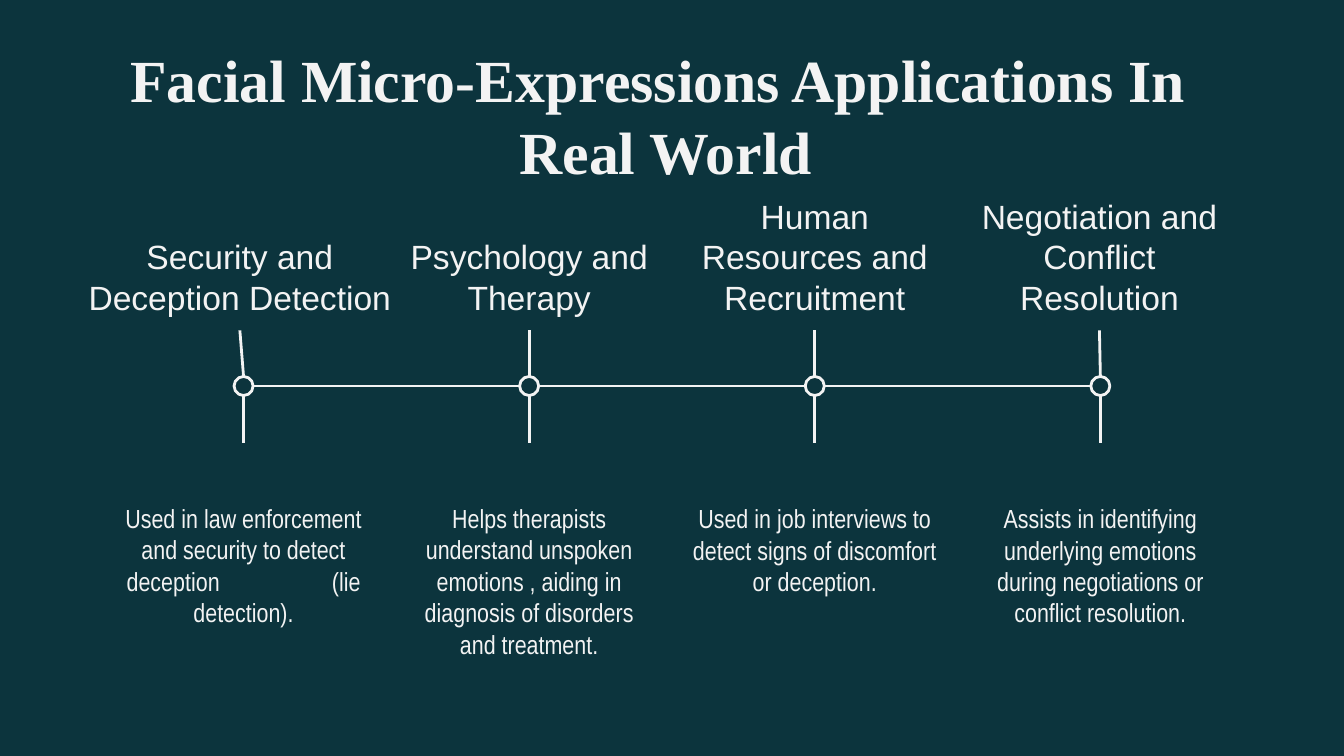
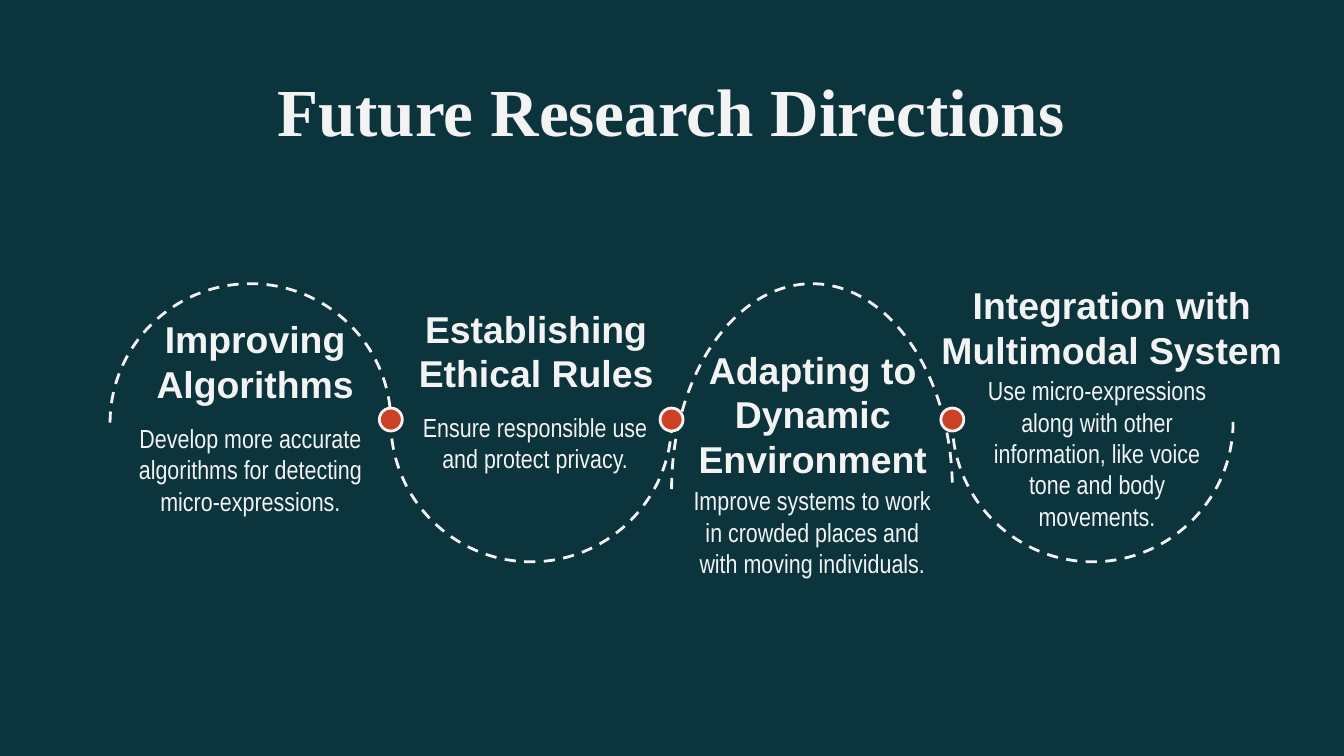
from dataclasses import dataclass
from typing import NamedTuple

from lxml.etree import SubElement
from pptx import Presentation
from pptx.dml.color import RGBColor
from pptx.enum.dml import MSO_LINE
from pptx.enum.shapes import MSO_CONNECTOR, MSO_SHAPE
from pptx.enum.text import MSO_ANCHOR, PP_ALIGN
from pptx.oxml.ns import qn
from pptx.util import Pt


@dataclass(frozen=True)
class Theme:
    background: RGBColor = RGBColor(0x0C, 0x34, 0x3D)
    ink: RGBColor = RGBColor(0xF3, 0xF3, 0xF3)
    accent: RGBColor = RGBColor(0xCC, 0x41, 0x25)
    title_font: str = "Times New Roman"
    heading_font: str = "Arial"
    body_font: str = "Arial Narrow"
    body_size: float = 14
    step_size: float = 18
    direction_size: float = 20
    line_width: float = 1.5
    inset: float = 7.2


THEME = Theme()


class Box(NamedTuple):
    left: float
    top: float
    width: float
    height: float

    def lengths(self) -> tuple:
        return tuple(Pt(value) for value in self)


class Step(NamedTuple):
    heading: str
    heading_centre: float
    heading_width: float
    heading_height: float
    body: str
    body_height: float


class Direction(NamedTuple):
    heading: str
    heading_box: Box
    body: str
    body_box: Box


class Arc(NamedTuple):
    base: float
    rise: float  # negative when the arc hangs below its base


STEPS = [
    Step("Security and Deception Detection", 128.5, 188, 90,
         "Used in law enforcement and security to detect deception\t(lie detection).", 78),
    Step("Psychology and Therapy", 283.5, 148.5, 64,
         "Helps therapists understand unspoken emotions , aiding in diagnosis "
         "of disorders and treatment.", 60.5),
    Step("Human Resources and Recruitment", 436.5, 148.5, 111.5,
         "Used in job interviews to detect signs of discomfort or deception.", 43),
    Step("Negotiation and Conflict Resolution", 589, 147, 92,
         "Assists in identifying underlying emotions during negotiations or "
         "conflict resolution.", 43),
]
FIRST_RING, RING_PITCH, RING_SIZE = 130.5, 153, 10.2
TIMELINE_Y, STEM_TOP, STEM_BOTTOM = 206.8, 177, 237.2
STEP_BODY_TOP, STEP_BODY_WIDTH = 262, 148.5
LIE_TAB = 110

DIRECTIONS = [
    Direction("Improving Algorithms", Box(65, 188.5, 143.5, 36),
              "Develop more accurate algorithms for detecting micro-expressions.",
              Box(62.5, 219, 143.5, 93.5)),
    Direction("Establishing Ethical Rules", Box(206, 191.5, 162.5, 27.5),
              "Ensure responsible use and protect privacy.",
              Box(215, 213, 143.5, 66)),
    Direction("Adapting to Dynamic Environment", Box(355.2, 176.5, 160.5, 88.5),
              "Improve systems to work in crowded places and with moving individuals.",
              Box(363.5, 252.5, 143.5, 91)),
    Direction("Integration with Multimodal System", Box(487.7, 149, 216, 57.5),
              "Use micro-expressions along with other information, like voice tone "
              "and body movements.",
              Box(513, 193.5, 149.5, 96.5)),
]
ARCS = [Arc(226.5, 74.5), Arc(226, -75), Arc(262, 110), Arc(226, -75)]
WAVE_LEFT, ARC_WIDTH = 59, 150.4
BULGE = 0.55  # handle length of a curve that follows a quarter ellipse
DOT_SIZE, DOT_Y = 12.3, 224.8


def write(frame, text: str, font: str, size: float, bold: bool = False,
          anchor=MSO_ANCHOR.TOP) -> None:
    frame.text = text
    frame.word_wrap = True
    frame.vertical_anchor = anchor
    frame.margin_left = frame.margin_right = Pt(THEME.inset)
    frame.margin_top = frame.margin_bottom = Pt(THEME.inset)
    for paragraph in frame.paragraphs:
        paragraph.alignment = PP_ALIGN.CENTER
        if "\t" in text:
            stops = SubElement(paragraph._p.get_or_add_pPr(), qn("a:tabLst"))
            SubElement(stops, qn("a:tab"), pos=str(Pt(LIE_TAB)), algn="l")
        for run in paragraph.runs:
            run.font.name = font
            run.font.size = Pt(size)
            run.font.bold = bold
            run.font.color.rgb = THEME.ink


def add_titled_slide(deck, title: str, size: float, box: Box):
    slide = deck.slides.add_slide(deck.slide_layouts[5])
    placeholder = slide.shapes.title
    placeholder.left, placeholder.top, placeholder.width, placeholder.height = box.lengths()
    write(placeholder.text_frame, title, THEME.title_font, size, bold=True)
    return slide


def add_label(slide, heading: str, heading_box: Box, heading_size: float,
              bold: bool, body: str, body_box: Box):
    """Group a body with its heading, and return the heading box."""
    shapes = slide.shapes.add_group_shape().shapes
    body_text = shapes.add_textbox(*body_box.lengths())
    write(body_text.text_frame, body, THEME.body_font, THEME.body_size)
    heading_text = shapes.add_textbox(*heading_box.lengths())
    write(heading_text.text_frame, heading, THEME.heading_font, heading_size,
          bold, MSO_ANCHOR.BOTTOM)
    return heading_text


def style_outline(shape) -> None:
    shape.line.color.rgb = THEME.ink
    shape.line.width = Pt(THEME.line_width)


def add_circle(slide, x: float, y: float, size: float, fill=None) -> None:
    box = Box(x - size / 2, y - size / 2, size, size)
    circle = slide.shapes.add_shape(MSO_SHAPE.OVAL, *box.lengths())
    circle.shadow.inherit = False
    style_outline(circle)
    if fill is None:
        circle.fill.background()
    else:
        circle.fill.solid()
        circle.fill.fore_color.rgb = fill


def add_line(slide, x1: float, y1: float, x2: float, y2: float):
    line = slide.shapes.add_connector(
        MSO_CONNECTOR.STRAIGHT, Pt(x1), Pt(y1), Pt(x2), Pt(y2))
    style_outline(line)
    SubElement(line._element.spPr, qn("a:effectLst"))
    return line


def bend(curve) -> None:
    """Turn the two straight segments of an outline into quarter ellipses."""
    points = [(int(point.get("x")), int(point.get("y")))
              for point in curve._element.iter(qn("a:pt"))]
    for index, segment in enumerate(list(curve._element.iter(qn("a:lnTo")))):
        (x1, y1), (x2, y2) = points[index:index + 2]
        dx, dy = round(BULGE * (x2 - x1)), round(BULGE * (y2 - y1))
        if index == 0:
            handles = [(x1, y1 + dy), (x2 - dx, y2)]
        else:
            handles = [(x1 + dx, y1), (x2, y2 - dy)]
        segment.tag = qn("a:cubicBezTo")
        for position, (x, y) in enumerate(handles):
            handle = SubElement(segment, qn("a:pt"), x=str(x), y=str(y))
            segment.insert(position, handle)


def add_arc(slide, left: float, arc: Arc) -> None:
    """Draw a dashed half ellipse, clockwise from its first end."""
    middle, right = left + ARC_WIDTH / 2, left + ARC_WIDTH
    start, end = (left, right) if arc.rise > 0 else (right, left)
    builder = slide.shapes.build_freeform(Pt(start), Pt(arc.base))
    builder.add_line_segments(
        [(Pt(middle), Pt(arc.base - arc.rise)), (Pt(end), Pt(arc.base))], close=False)
    curve = builder.convert_to_shape()
    bend(curve)
    curve.shadow.inherit = False
    curve.fill.background()
    style_outline(curve)
    curve.line.dash_style = MSO_LINE.DASH


def build_applications(deck) -> None:
    slide = add_titled_slide(
        deck, "Facial Micro-Expressions Applications In\v Real World", 32,
        Box(10.5, 15.7, 684.5, 72))
    radius = RING_SIZE / 2
    for index, step in enumerate(STEPS):
        x = FIRST_RING + index * RING_PITCH
        add_circle(slide, x, TIMELINE_Y, RING_SIZE)
        if index < len(STEPS) - 1:
            add_line(slide, x + radius, TIMELINE_Y, x + RING_PITCH - radius, TIMELINE_Y)
        add_line(slide, x, TIMELINE_Y + radius, x, STEM_BOTTOM)
        heading = add_label(
            slide, step.heading,
            Box(step.heading_centre - step.heading_width / 2,
                STEM_TOP - step.heading_height, step.heading_width, step.heading_height),
            THEME.step_size, False, step.body,
            Box(x - STEP_BODY_WIDTH / 2, STEP_BODY_TOP, STEP_BODY_WIDTH, step.body_height))
        stem = add_line(slide, x, TIMELINE_Y - radius, step.heading_centre, STEM_TOP)
        stem.end_connect(heading, 2)


def build_directions(deck) -> None:
    slide = add_titled_slide(deck, "Future Research Directions", 36, Box(56, 30, 607, 67.5))
    for index, arc in enumerate(ARCS):
        add_arc(slide, WAVE_LEFT + index * ARC_WIDTH, arc)
    for joint in range(1, len(ARCS)):
        add_circle(slide, WAVE_LEFT + joint * ARC_WIDTH, DOT_Y, DOT_SIZE, THEME.accent)
    for direction in DIRECTIONS:
        add_label(slide, direction.heading, direction.heading_box, THEME.direction_size,
                  True, direction.body, direction.body_box)


def main() -> None:
    deck = Presentation()
    deck.slide_width, deck.slide_height = Pt(720), Pt(405)
    backdrop = deck.slide_master.background.fill
    backdrop.solid()
    backdrop.fore_color.rgb = THEME.background
    build_applications(deck)
    build_directions(deck)
    deck.save("out.pptx")


if __name__ == "__main__":
    main()
